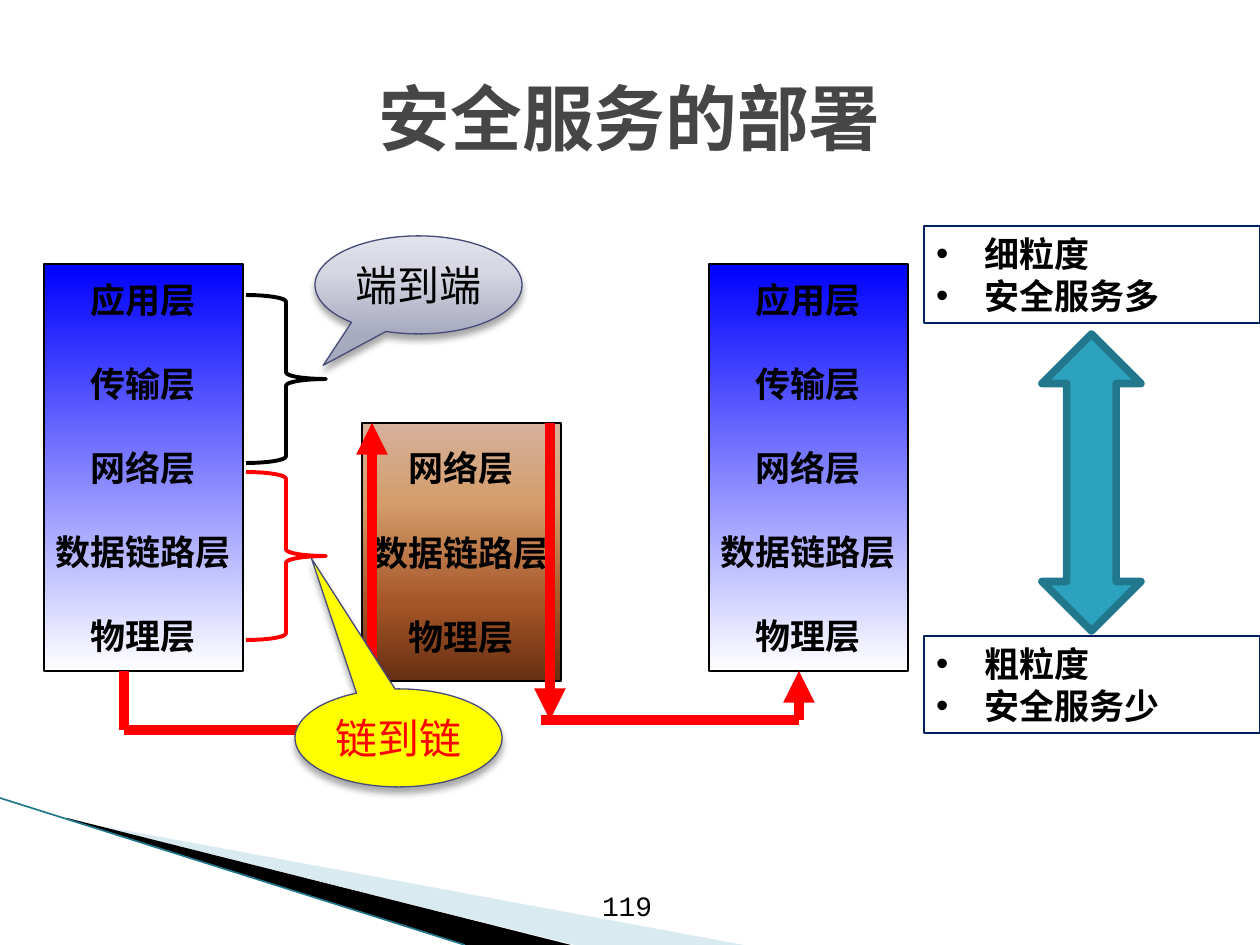
from typing import NamedTuple
from lxml import etree
from pptx import Presentation
from pptx.dml.color import RGBColor
from pptx.enum.shapes import MSO_CONNECTOR as Link, MSO_SHAPE as Kind
from pptx.enum.text import MSO_ANCHOR as Anchor, PP_ALIGN as Align
from pptx.oxml.ns import qn
from pptx.util import Pt

SCALE = 914400 / 126
RED = "FF0000"
BLACK = "000000"
MONO = "Courier New"


class Box(NamedTuple):
    x: int
    y: int
    w: int
    h: int


class Stack(NamedTuple):
    box: Box
    rows: list
    stops: list


class Wire(NamedTuple):
    x1: int
    y1: int
    x2: int
    y2: int
    arrow: bool = False


class Note(NamedTuple):
    brace: Box
    edge: str
    box: Box
    tip: tuple
    text: str
    ink: str
    stops: list


class Panel(NamedTuple):
    box: Box
    rows: list


def px(n: float) -> int:
    return round(n * SCALE)


def rgb(code: str) -> RGBColor:
    return RGBColor.from_string(code)


def sub(node, tag: str, **attrs):
    return etree.SubElement(node, qn(tag), {k: str(v) for k, v in attrs.items()})


def paint(shape, stops: list, angle: int = 90) -> None:
    if not stops:
        shape.fill.background()
    elif len(stops) == 1:
        shape.fill.solid()
        shape.fill.fore_color.rgb = rgb(stops[0][1])
    else:
        shape.fill.gradient()
        grad = shape._element.spPr.find(qn("a:gradFill"))
        for child in list(grad):
            grad.remove(child)
        ramp = sub(grad, "a:gsLst")
        for pos, code in stops:
            sub(sub(ramp, "a:gs", pos=pos * 1000), "a:srgbClr", val=code)
        sub(grad, "a:lin", ang=angle * 60000, scaled=0)


def stroke(shape, code: str, width: float) -> None:
    shape.line.color.rgb = rgb(code)
    shape.line.width = Pt(width)


def draw(slide, kind, box: Box, stops: list, edge: str, width: float = 0.75, angle: int = 90):
    shape = slide.shapes.add_shape(kind, *map(px, box))
    shape.shadow.inherit = False
    paint(shape, stops, angle)
    stroke(shape, edge, width)
    return shape


def write(shape, rows: list, size: int, font: str, ink: str = BLACK, bold: bool = False,
          align=Align.CENTER, anchor=Anchor.MIDDLE, wrap: bool = True,
          gap: int = 0, pad: tuple = (12, 6), bullet: bool = False) -> None:
    frame = shape.text_frame
    frame.word_wrap = wrap
    frame.vertical_anchor = anchor
    frame.margin_left = frame.margin_right = px(pad[0])
    frame.margin_top = frame.margin_bottom = px(pad[1])
    for i, row in enumerate(rows):
        para = frame.add_paragraph() if i else frame.paragraphs[0]
        para.alignment = align
        if i and gap:
            para.space_before = Pt(gap)
        if bullet:
            props = para._p.get_or_add_pPr()
            props.set("marL", str(px(48)))
            props.set("indent", str(px(-48)))
            sub(props, "a:buFont", typeface="Arial")
            sub(props, "a:buChar", char="•")
        run = para.add_run()
        run.text = row
        run.font.size = Pt(size)
        run.font.name = font
        run.font.bold = bold
        run.font.color.rgb = rgb(ink)


def label(slide, box: Box, text: str, size: int, **form) -> None:
    write(slide.shapes.add_textbox(*map(px, box)), [text], size, MONO, **form)


def wire(slide, item: Wire, code: str = RED, width: float = 6) -> None:
    ends = map(px, (item.x1, item.y1, item.x2, item.y2))
    line = slide.shapes.add_connector(Link.STRAIGHT, *ends)
    stroke(line, code, width)
    if item.arrow:
        sub(line.line._get_or_add_ln(), "a:tailEnd", type="triangle")
    sub(line._element.spPr, "a:effectLst")


def wedge(slide, spots: list, code: str, alpha: int = 100) -> None:
    path = slide.shapes.build_freeform(*spots[0], scale=SCALE)
    path.add_line_segments(spots[1:], close=True)
    shape = path.convert_to_shape()
    shape.shadow.inherit = False
    paint(shape, [(0, code)])
    shape.line.fill.background()
    if alpha < 100:
        tone = shape._element.spPr.find(qn("a:solidFill"))[0]
        sub(tone, "a:alpha", val=alpha * 1000)


def stack(slide, item: Stack) -> None:
    shape = draw(slide, Kind.RECTANGLE, item.box, item.stops, BLACK)
    write(shape, item.rows, 20, "Comic Neue", bold=True, wrap=False, gap=24)


def note(slide, item: Note) -> None:
    draw(slide, Kind.RIGHT_BRACE, item.brace, [], item.edge, 2.25)
    shape = draw(slide, Kind.OVAL_CALLOUT, item.box, item.stops, "474B78", angle=270)
    shape.adjustments[0], shape.adjustments[1] = item.tip
    glow = shape._element.spPr.find(qn("a:effectLst"))
    cast = sub(glow, "a:outerShdw", blurRad=Pt(4), dist=Pt(3), dir=90 * 60000, rotWithShape=0)
    sub(sub(cast, "a:srgbClr", val=BLACK), "a:alpha", val=35000)
    write(shape, [item.text], 24, MONO, ink=item.ink, pad=(0, 0))


def panel(slide, item: Panel) -> None:
    shape = draw(slide, Kind.RECTANGLE, item.box, [], "002060")
    write(shape, item.rows, 20, "Karla", bold=True, align=Align.LEFT,
          anchor=Anchor.TOP, bullet=True)


LAYERS = ["应用层", "传输层", "网络层", "数据链路层", "物理层"]
BLUE = [(0, "0000FF"), (100, "FFFFFF")]
BROWN = [(0, "D6B19C"), (30, "D49E6C"), (70, "A65528"), (100, "663012")]
GREY = [(0, "A8AAC0"), (65, "D6D7E3"), (100, "E2E2EC")]
STACKS = [
    Stack(Box(44, 264, 199, 407), LAYERS, BLUE),
    Stack(Box(709, 264, 199, 407), LAYERS, BLUE),
    Stack(Box(362, 423, 199, 258), LAYERS[2:], BROWN),
]
WIRES = [
    Wire(124, 671, 124, 730),
    Wire(124, 730, 382, 730),
    Wire(372, 730, 372, 423, True),
    Wire(550, 423, 550, 720, True),
    Wire(541, 720, 799, 720),
    Wire(799, 720, 799, 671, True),
]
NOTES = [
    Note(Box(246, 295, 80, 168), BLACK, Box(315, 236, 207, 98), (-0.46, 0.82),
         "端到端", BLACK, GREY),
    Note(Box(246, 472, 80, 168), RED, Box(295, 689, 207, 98), (-0.42, -1.83),
         "链到链", RED, [(0, "FFFF00")]),
]
PANELS = [
    Panel(Box(924, 226, 336, 97), ["细粒度", "安全服务多"]),
    Panel(Box(924, 636, 336, 97), ["粗粒度", "安全服务少"]),
]


def main() -> None:
    deck = Presentation()
    deck.slide_width, deck.slide_height = px(1260), px(945)
    slide = deck.slides.add_slide(deck.slide_layouts[6])
    wedge(slide, [(69, 820), (744, 945), (575, 945), (69, 819)], "A0CBDC", 40)
    wedge(slide, [(67, 818), (571, 945), (464, 945), (68, 819)], BLACK)
    wire(slide, Wire(0, 798, 465, 945), "21788D", 0.95)
    label(slide, Box(63, 38, 1134, 157), "安全服务的部署", 41, ink="464646", bold=True)
    for item in STACKS:
        stack(slide, item)
    for item in WIRES:
        wire(slide, item)
    for item in NOTES:
        note(slide, item)
    draw(slide, Kind.UP_DOWN_ARROW, Box(1042, 334, 99, 297), [(0, "2DA2BF")], "21788D", 4.33)
    for item in PANELS:
        panel(slide, item)
    label(slide, Box(590, 883, 110, 62), "119", 16, align=Align.LEFT, anchor=Anchor.TOP)
    deck.save("out.pptx")


if __name__ == "__main__":
    main()
